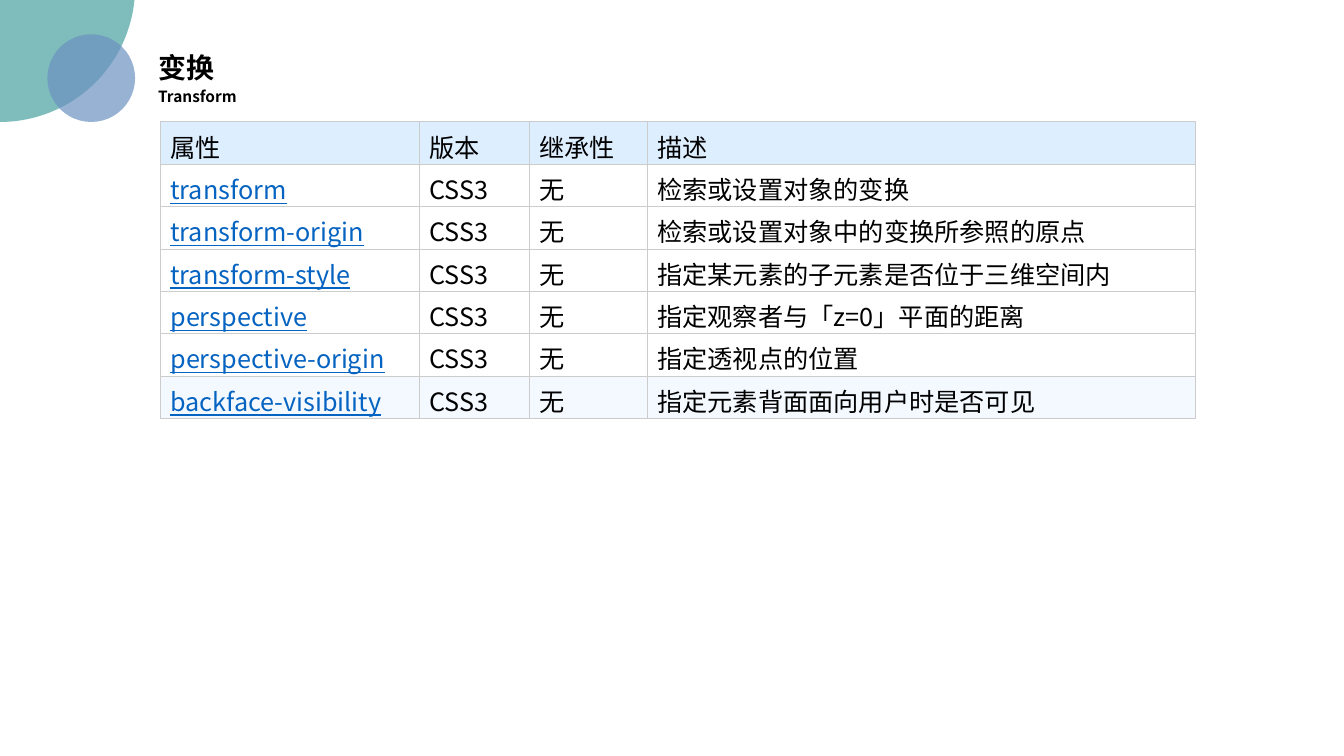
from lxml.etree import SubElement
from pptx import Presentation
from pptx.dml.color import RGBColor
from pptx.enum.shapes import MSO_SHAPE as Shape
from pptx.enum.text import MSO_ANCHOR as Anchor, PP_ALIGN as Align
from pptx.oxml.ns import qn
from pptx.util import Inches, Pt

FONT = "Noto Sans CJK SC"
BLACK, LINK, BORDER = "000000", "0563C1", "CCCCCC"
HEADER_FILL, LAST_FILL = "DDEEFF", "F3F9FF"
COLUMN_WIDTHS = [2.57, 1.09, 1.17, 5.44]
HEADINGS = ["属性", "版本", "继承性", "描述"]
PROPERTIES = [
    ("transform", "检索或设置对象的变换"),
    ("transform-origin", "检索或设置对象中的变换所参照的原点"),
    ("transform-style", "指定某元素的子元素是否位于三维空间内"),
    ("perspective", "指定观察者与「z=0」平面的距离"),
    ("perspective-origin", "指定透视点的位置"),
    ("backface-visibility", "指定元素背面面向用户时是否可见"),
]


def color(hex_code):
    return RGBColor.from_string(hex_code)


def place(box, left, top, width, height):
    box.left, box.top = Inches(left), Inches(top)
    box.width, box.height = Inches(width), Inches(height)


def add_run(paragraph, text, size, hex_code=BLACK, bold=False, underline=False):
    run = paragraph.add_run()
    run.text = text
    font = run.font
    font.name, font.size = FONT, Pt(size)
    font.bold, font.underline = bold, underline
    font.color.rgb = color(hex_code)
    SubElement(run._r.get_or_add_rPr(), qn("a:ea")).set("typeface", FONT)


def add_circle(slide, left, top, diameter, hex_code, opacity):
    circle = slide.shapes.add_shape(
        Shape.OVAL, Inches(left), Inches(top), Inches(diameter), Inches(diameter))
    circle.shadow.inherit = False
    circle.line.fill.background()
    circle.fill.solid()
    circle.fill.fore_color.rgb = color(hex_code)
    tint = circle.fill._xPr.find(".//" + qn("a:srgbClr"))
    SubElement(tint, qn("a:alpha")).set("val", str(opacity * 1000))


def write_heading(box, text, size, wrap):
    frame = box.text_frame
    frame.word_wrap = wrap
    frame.vertical_anchor = Anchor.TOP
    frame.margin_left = frame.margin_right = Inches(0.1)
    frame.margin_top, frame.margin_bottom = Inches(0.02), Inches(0.05)
    paragraph = frame.paragraphs[0]
    paragraph.alignment = Align.LEFT
    add_run(paragraph, text, size, bold=True)


def add_borders(cell):
    # Borders come before the fill in the cell properties
    properties = cell._tc.get_or_add_tcPr()
    for index, side in enumerate(["a:lnL", "a:lnR", "a:lnT", "a:lnB"]):
        line = SubElement(properties, qn(side), w=str(Pt(0.75)))
        solid = SubElement(line, qn("a:solidFill"))
        SubElement(solid, qn("a:srgbClr"), val=BORDER)
        properties.insert(index, line)


def fill_cell(cell, text, fill, is_link):
    cell.vertical_anchor = Anchor.MIDDLE
    cell.margin_left = cell.margin_right = Inches(0.1)
    cell.margin_top = cell.margin_bottom = Inches(0.06)
    if fill:
        cell.fill.solid()
        cell.fill.fore_color.rgb = color(fill)
    else:
        cell.fill.background()
    add_borders(cell)
    add_run(cell.text_frame.paragraphs[0], text, 18,
            LINK if is_link else BLACK, underline=is_link)


def add_property_table(slide, left, top, width, height):
    rows = [HEADINGS] + [[name, "CSS3", "无", use] for name, use in PROPERTIES]
    fills = {0: HEADER_FILL, len(rows) - 1: LAST_FILL}
    frame = slide.shapes.add_table(
        len(rows), len(HEADINGS), Inches(left), Inches(top), Inches(width), Inches(height))
    table = frame.table
    table.first_row = table.horz_banding = False
    for column, column_width in zip(table.columns, COLUMN_WIDTHS):
        column.width = Inches(column_width)
    for r, row in enumerate(rows):
        # Rows share the height of the whole table
        table.rows[r].height = 0
        for c, text in enumerate(row):
            fill_cell(table.cell(r, c), text, fills.get(r), r > 0 and c == 0)
    place(frame, left, top, width, height)


def main():
    deck = Presentation()
    deck.slide_width, deck.slide_height = Inches(13.33), Inches(7.5)
    slide = deck.slides.add_slide(deck.slide_layouts[5])

    # Corner decoration
    add_circle(slide, -1.34, -1.47, 2.68, "48A2A0", 70)
    add_circle(slide, 0.47, 0.34, 0.87, "6C92C0", 70)

    # Title and subtitle
    title = slide.shapes.title
    place(title, 1.47, 0.48, 0.77, 0.77)
    write_heading(title, "变换", 20, wrap=False)
    subtitle = slide.shapes.add_textbox(
        Inches(1.47), Inches(0.84), Inches(5.74), Inches(0.29))
    write_heading(subtitle, "Transform", 11, wrap=True)

    # CSS properties
    add_property_table(slide, 1.59, 1.21, 10.26, 2.98)

    deck.save("out.pptx")


main()
